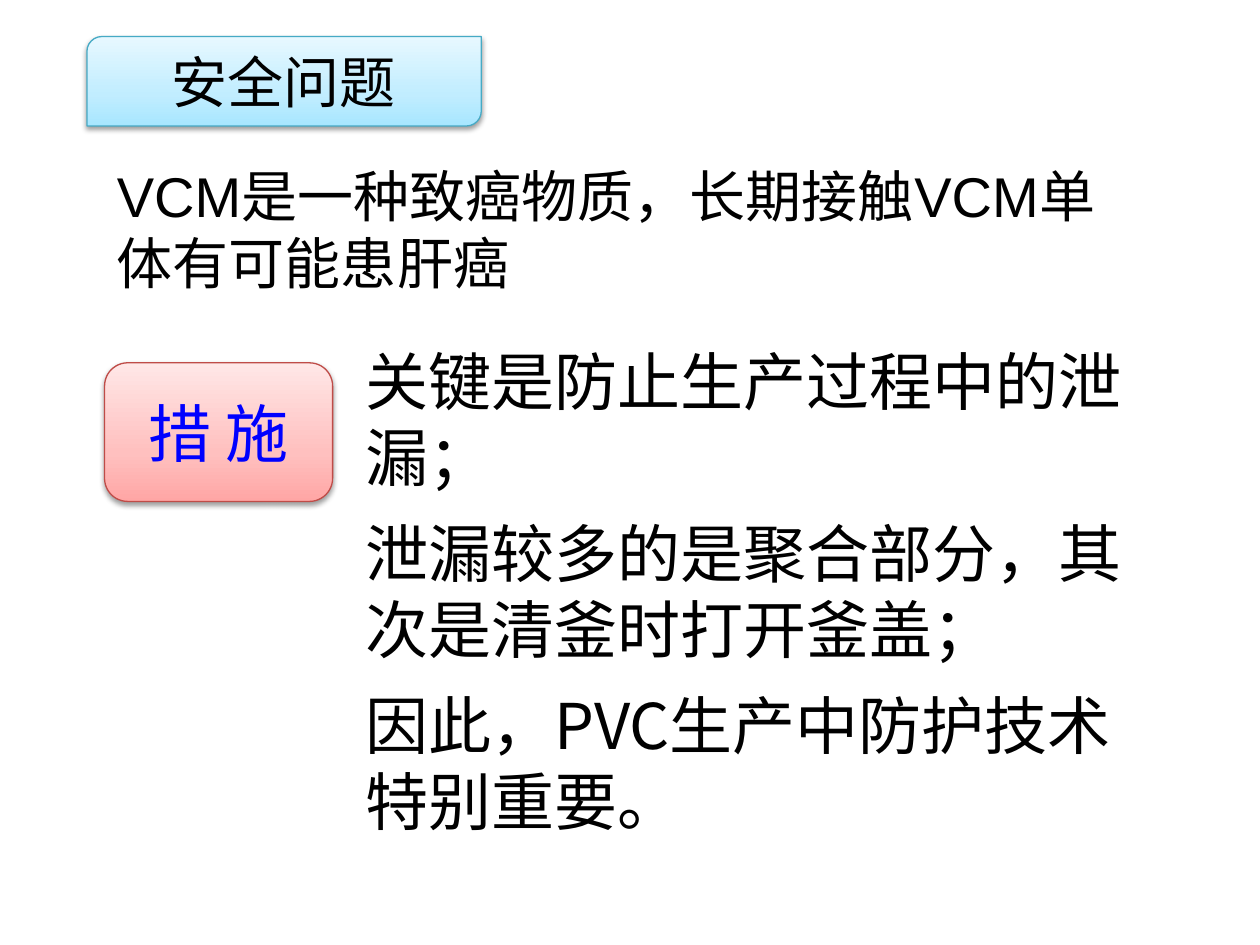
"""Build a slide on the safety problem of VCM and the measures against it."""
from lxml import etree
from pptx import Presentation
from pptx.dml.color import RGBColor
from pptx.enum.shapes import MSO_SHAPE
from pptx.enum.text import MSO_ANCHOR, PP_ALIGN
from pptx.oxml import parse_xml
from pptx.oxml.ns import qn
from pptx.util import Inches, Pt

DIAGONAL, ROUNDED = MSO_SHAPE.ROUND_2_DIAG_RECTANGLE, MSO_SHAPE.ROUNDED_RECTANGLE
MIDDLE, TOP = MSO_ANCHOR.MIDDLE, MSO_ANCHOR.TOP
CENTER, LEFT = PP_ALIGN.CENTER, PP_ALIGN.LEFT
NAMESPACE = 'xmlns:a="http://schemas.openxmlformats.org/drawingml/2006/main"'
CJK, LATIN = "Noto Sans CJK SC", "Arial"
BLACK, BLUE = "000000", "0000FF"
STOPS = (0, 35, 100)

LABELS = [
    dict(kind=DIAGONAL, place=(0.69, 0.29, 3.13, 0.71), text="安全问题", size=32,
         color=BLACK, line="46AAC5", shades=("A7E6FF", "C1EDFF", "E7F8FF")),
    dict(kind=ROUNDED, place=(0.83, 2.88, 1.81, 1.1), text="措 施", size=36,
         color=BLUE, line="BF4C48", shades=("FFA6A5", "FFC0BF", "FFE7E7")),
]
TEXTS = [
    dict(place=(0.83, 1.23, 8.27, 1.18), size=32, font=LATIN,
         lines=["VCM是一种致癌物质，长期接触VCM单体有可能患肝癌"]),
    dict(place=(2.8, 2.67, 6.61, 4.07), size=36, font=CJK,
         lines=["关键是防止生产过程中的泄漏；",
                "泄漏较多的是聚合部分，其次是清釜时打开釜盖；",
                "因此，PVC生产中防护技术特别重要。"]),
]


def rgb(value):
    """Turn a hex string into a colour."""
    return RGBColor.from_string(value)


def write(frame, lines, size, font, color, align, anchor):
    """Fill a text frame with one paragraph per line."""
    frame.word_wrap = True
    frame.vertical_anchor = anchor
    for index, line in enumerate(lines):
        para = frame.add_paragraph() if index else frame.paragraphs[0]
        para.alignment = align
        para.space_before = Pt(12 if index else 0)
        span = para.add_run()
        span.text = line
        span.font.size = Pt(size)
        span.font.name = font
        span.font.color.rgb = rgb(color)
        east_asian = etree.SubElement(span.font._element, qn("a:ea"))
        east_asian.set("typeface", CJK)


def add_label(page, kind, place, text, size, color, line, shades):
    """Add a shaded shape with a soft shadow and a centred caption."""
    shape = page.shapes.add_shape(kind, *map(Inches, place))
    shape.line.color.rgb = rgb(line)
    shape.line.width = Pt(0.75)
    stops = "".join(f'<a:gs pos="{stop * 1000}"><a:srgbClr val="{shade}"/></a:gs>'
                    for stop, shade in zip(STOPS, shades))
    properties = shape._element.spPr
    properties.find(qn("a:ln")).addprevious(parse_xml(
        f'<a:gradFill {NAMESPACE} rotWithShape="1"><a:gsLst>{stops}</a:gsLst>'
        '<a:lin ang="16200000" scaled="1"/></a:gradFill>'))
    properties.append(parse_xml(
        f'<a:effectLst {NAMESPACE}><a:outerShdw blurRad="{Pt(3.1)}" dist="{Pt(1.6)}" '
        'dir="5400000" rotWithShape="0"><a:srgbClr val="000000">'
        '<a:alpha val="38000"/></a:srgbClr></a:outerShdw></a:effectLst>'))
    write(shape.text_frame, [text], size, CJK, color, CENTER, MIDDLE)


def add_text(page, place, size, font, lines):
    """Add a plain text box."""
    box = page.shapes.add_textbox(*map(Inches, place))
    write(box.text_frame, lines, size, font, BLACK, LEFT, TOP)


def main():
    """Build and save the deck."""
    deck = Presentation()
    deck.slide_width, deck.slide_height = Inches(10), Inches(7.5)
    page = deck.slides.add_slide(deck.slide_layouts[6])
    for label, text in zip(LABELS, TEXTS):
        add_label(page, **label)
        add_text(page, **text)
    deck.save("out.pptx")


if __name__ == "__main__":
    main()
